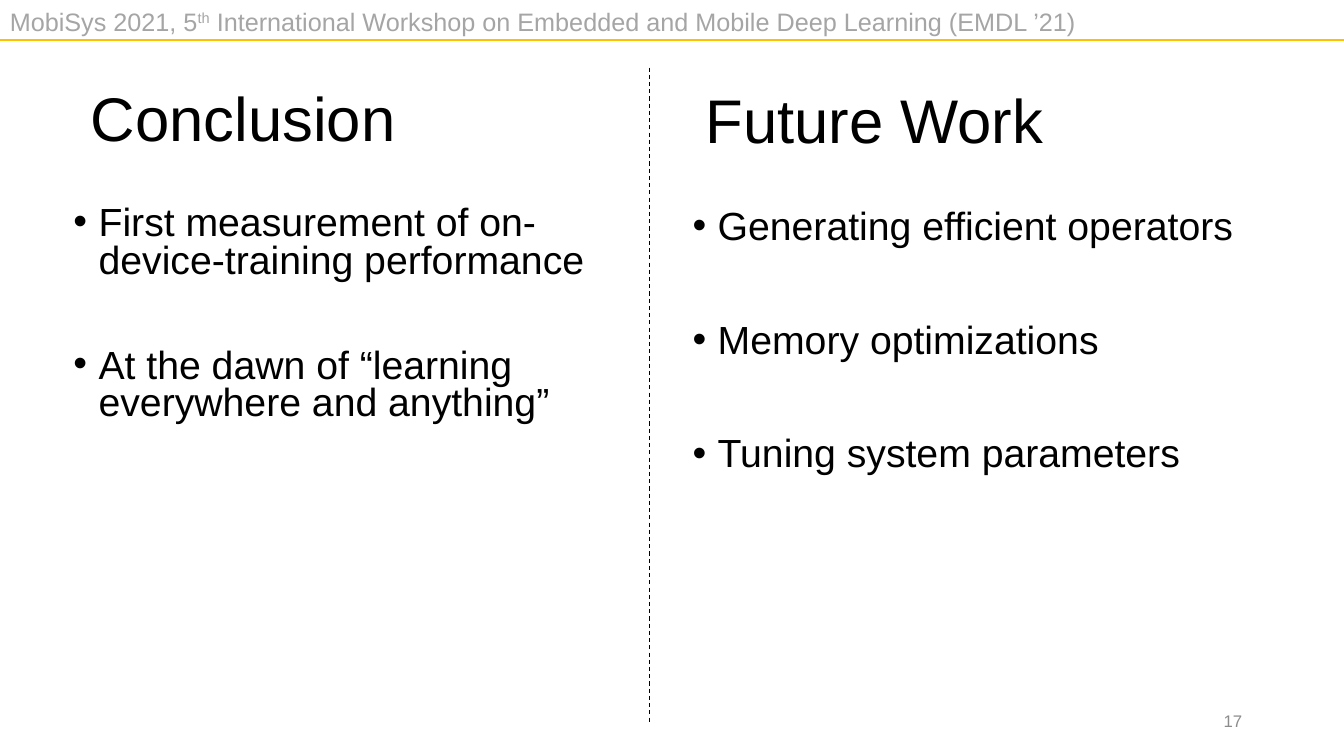
from pptx import Presentation
from pptx import util as u
from pptx.dml.color import RGBColor
from pptx.enum import dml, shapes, text
from pptx.oxml import parse_xml
from pptx.oxml.ns import nsdecls

BLACK = RGBColor(0x00, 0x00, 0x00)
HEADER_GRAY = RGBColor(0xA5, 0xA5, 0xA5)
NUMBER_GRAY = RGBColor(0x8C, 0x8C, 0x8C)
GOLD = RGBColor(0xFF, 0xC0, 0x00)
MIDDLE, TOP = text.MSO_ANCHOR.MIDDLE, text.MSO_ANCHOR.TOP

# Content: boxes are left, top, width, height in inches; the header alternates
# between normal and superscript runs
HEADER = [
    ("MobiSys 2021, 5", False),
    ("th", True),
    (" International Workshop on Embedded and Mobile Deep Learning (EMDL ’21)", False),
]
COLUMNS = [
    dict(title="Conclusion", title_box=(0.8, 0.67, 5.65, 1.08),
         points=["First measurement of on-device-training performance",
                 "At the dawn of “learning everywhere and anything”"],
         points_box=(0.63, 2, 5.82, 2.36), line_spacing=0.8, gap=48),
    dict(title="Future Work", title_box=(6.9, 0.8, 5.65, 0.86),
         points=["Generating efficient operators", "Memory optimizations",
                 "Tuning system parameters"],
         points_box=(6.77, 2, 5.75, 3), line_spacing=0.9, gap=51),
]
PAGE_NUMBER = "17"
BULLET_INDENT = u.Inches(0.25)

presentation = Presentation()
presentation.slide_width, presentation.slide_height = u.Inches(13.33), u.Inches(7.5)
slide = presentation.slides.add_slide(presentation.slide_layouts[6])


def add_text(paragraphs, box, size, color=BLACK, anchor=TOP, align=None,
             line_spacing=None, gap=0, bullet=False):
    """Add a text box; each paragraph is a list of (text, superscript) runs."""
    frame = slide.shapes.add_textbox(*map(u.Inches, box)).text_frame
    frame.word_wrap = True
    frame.vertical_anchor = anchor
    for index, runs in enumerate(paragraphs):
        paragraph = frame.add_paragraph() if index else frame.paragraphs[0]
        paragraph.alignment = align
        paragraph.line_spacing = line_spacing
        paragraph.space_before = u.Pt(gap if index else 0)
        if bullet:
            properties = paragraph._p.get_or_add_pPr()
            properties.set("marL", str(BULLET_INDENT))
            properties.set("indent", str(-BULLET_INDENT))
            properties.append(parse_xml(f'<a:buFont {nsdecls("a")} typeface="Arial"/>'))
            properties.append(parse_xml(f'<a:buChar {nsdecls("a")} char="•"/>'))
        for words, superscript in runs:
            run = paragraph.add_run()
            run.text = words
            run.font.name, run.font.size = "Arial", u.Pt(size)
            run.font.color.rgb = color
            if superscript:
                run.font._element.set("baseline", "30000")


def add_line(start, end, color, width, dash=None):
    line = slide.shapes.add_connector(
        shapes.MSO_CONNECTOR.STRAIGHT, *map(u.Inches, start + end))
    line.line.color.rgb, line.line.width = color, u.Pt(width)
    if dash:
        line.line.dash_style = dash
    line._element.spPr.append(parse_xml(f'<a:effectLst {nsdecls("a")}/>'))


# Header band
add_text([HEADER], (0, 0.01, 11.67, 0.4), 18, HEADER_GRAY)
add_line((-0.05, 0.4), (13.41, 0.4), GOLD, 1.5)

# Two columns with a dashed divider
for column in COLUMNS:
    add_text([[(column["title"], False)]], column["title_box"], 44,
             anchor=MIDDLE, line_spacing=0.9)
    add_text([[(point, False)] for point in column["points"]], column["points_box"], 28,
             line_spacing=column["line_spacing"], gap=column["gap"], bullet=True)
add_line((6.44, 0.67), (6.44, 7.17), BLACK, 0.75, dml.MSO_LINE.DASH)

# Page number
add_text([[(PAGE_NUMBER, False)]], (9.42, 6.95, 3, 0.4), 12, NUMBER_GRAY,
         anchor=MIDDLE, align=text.PP_ALIGN.RIGHT)

presentation.save("out.pptx")
